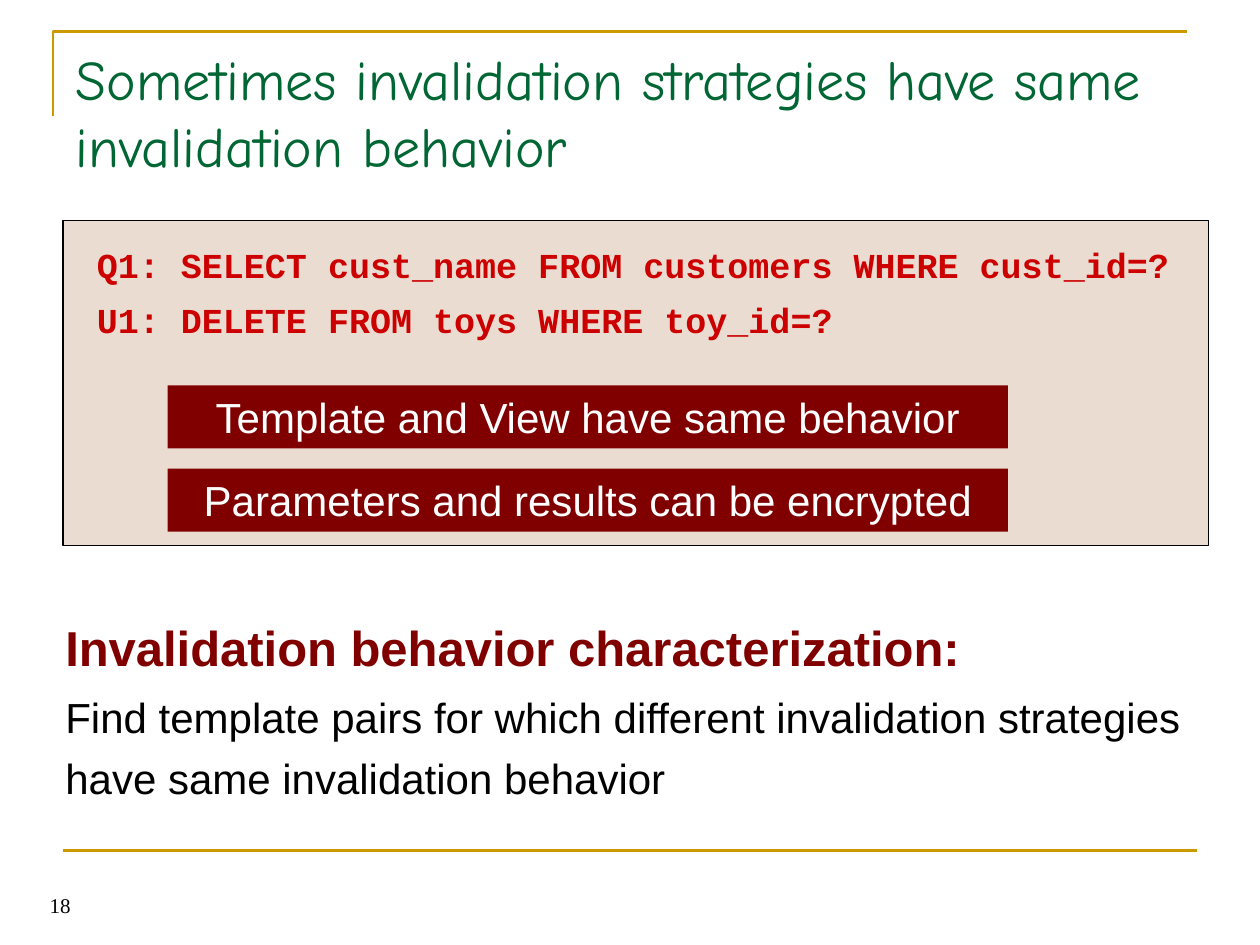
from dataclasses import dataclass

from pptx import Presentation
from pptx.dml.color import RGBColor
from pptx.enum.shapes import MSO_CONNECTOR, MSO_SHAPE
from pptx.enum.text import MSO_ANCHOR, MSO_AUTO_SIZE, PP_ALIGN
from pptx.oxml.ns import qn
from pptx.util import Inches, Pt

COLORS = {
    "gold": "CC9900", "green": "006633", "maroon": "800000", "red": "CC0000",
    "beige": "EBDCD1", "black": "000000", "white": "FFFFFF",
}


@dataclass
class Label:
    text: str
    left: float
    top: float
    width: float
    height: float
    size: float
    color: str
    font: str = "Arial"
    bold: bool = False
    align: PP_ALIGN = PP_ALIGN.LEFT
    anchor: MSO_ANCHOR = MSO_ANCHOR.TOP
    line_spacing: float = 1.0


def rgb(name: str) -> RGBColor:
    return RGBColor.from_string(COLORS[name])


def format_label(shape, label: Label) -> None:
    """Fill a shape's text frame with the label's text and style."""
    frame = shape.text_frame
    frame.text = label.text
    frame.word_wrap = True
    frame.auto_size = MSO_AUTO_SIZE.NONE
    frame.vertical_anchor = label.anchor
    paragraph = frame.paragraphs[0]
    paragraph.alignment = label.align
    paragraph.line_spacing = label.line_spacing
    for run in paragraph.runs:
        run.font.name = label.font
        run.font.size = Pt(label.size)
        run.font.bold = label.bold
        run.font.color.rgb = rgb(label.color)


def bounds(label: Label) -> list:
    return [Inches(v) for v in (label.left, label.top, label.width, label.height)]


def add_label(slide, label: Label) -> None:
    format_label(slide.shapes.add_textbox(*bounds(label)), label)


def add_panel(slide, left: float, top: float, width: float, height: float, fill: str):
    panel = slide.shapes.add_shape(
        MSO_SHAPE.RECTANGLE, Inches(left), Inches(top), Inches(width), Inches(height))
    panel.shadow.inherit = False
    panel.fill.solid()
    panel.fill.fore_color.rgb = rgb(fill)
    panel.line.fill.background()
    return panel


def add_banner(slide, label: Label) -> None:
    banner = add_panel(slide, label.left, label.top, label.width, label.height, "maroon")
    format_label(banner, label)


def style_line(line, color: str, width: float) -> None:
    line.color.rgb = rgb(color)
    line.width = Pt(width)


def add_frame_lines(slide) -> None:
    """Draw the gold corner around the title and the rule above the footer."""
    builder = slide.shapes.build_freeform(Inches(0.42), Inches(0.92))
    builder.add_line_segments(
        [(Inches(0.42), Inches(0.25)), (Inches(9.42), Inches(0.25))], close=False)
    corner = builder.convert_to_shape()
    corner.shadow.inherit = False
    corner.fill.background()
    style_line(corner.line, "gold", 1.5)

    rule = slide.shapes.add_connector(
        MSO_CONNECTOR.STRAIGHT, Inches(0.5), Inches(6.75), Inches(9.5), Inches(6.75))
    properties = rule._element.spPr
    style_line(rule.line, "gold", 1.5)
    properties.append(properties.makeelement(qn("a:effectLst"), {}))


def main() -> None:
    deck = Presentation()
    deck.slide_width, deck.slide_height = Inches(10), Inches(7.5)
    slide = deck.slides.add_slide(deck.slide_layouts[5])

    heading = Label("Sometimes invalidation strategies have same invalidation behavior",
                    0.5, 0.3, 9, 1.25, 32, "green", "Comic Neue")
    title = slide.shapes.title
    title.left, title.top, title.width, title.height = bounds(heading)
    format_label(title, heading)

    add_frame_lines(slide)

    example = add_panel(slide, 0.5, 1.75, 9.09, 2.58, "beige")
    style_line(example.line, "black", 0.75)

    statements = ("Q1: SELECT cust_name FROM customers WHERE cust_id=?",
                  "U1: DELETE FROM toys WHERE toy_id=?")
    for row, statement in enumerate(statements):
        add_label(slide, Label(statement, 0.67, 1.88 + 0.44 * row, 8.83, 0.44, 20,
                               "red", "Courier New", bold=True))

    findings = ("Template and View have same behavior",
                "Parameters and results can be encrypted")
    for row, finding in enumerate(findings):
        add_banner(slide, Label(finding, 1.33, 3.06 + 0.66 * row, 6.67, 0.5, 24,
                                "white", align=PP_ALIGN.CENTER))

    add_label(slide, Label("Invalidation behavior characterization:",
                           0.42, 4.85, 9.17, 0.57, 28, "maroon", bold=True))
    add_label(slide, Label("Find template pairs for which different invalidation strategies "
                           "have same invalidation behavior",
                           0.42, 5.36, 9.12, 1.06, 24, "black", line_spacing=1.2))
    add_label(slide, Label("18", 0.16, 6.83, 0.5, 0.5, 12, "black", "Times New Roman",
                           align=PP_ALIGN.RIGHT, anchor=MSO_ANCHOR.BOTTOM))

    deck.save("out.pptx")


if __name__ == "__main__":
    main()
